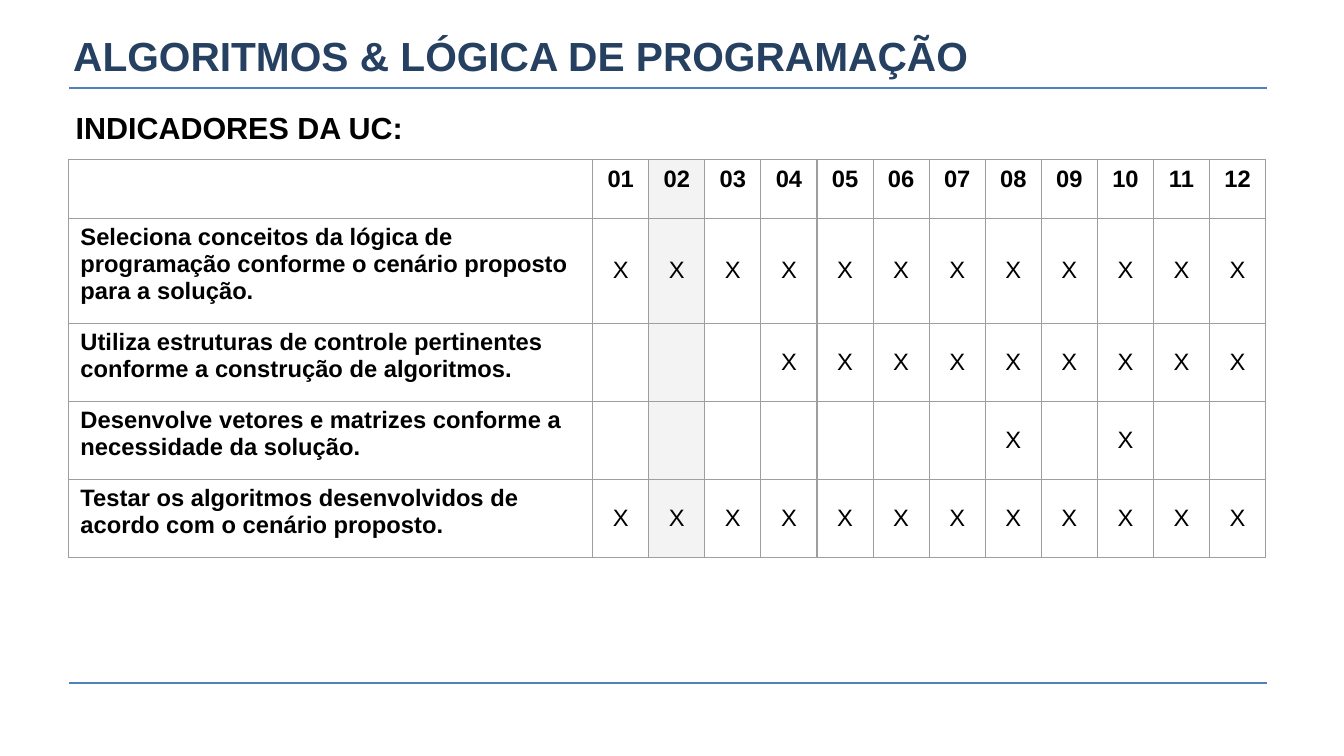
from dataclasses import dataclass

from pptx import Presentation
from pptx.dml.color import RGBColor
from pptx.enum.shapes import MSO_CONNECTOR
from pptx.enum.text import MSO_ANCHOR, MSO_AUTO_SIZE, PP_ALIGN
from pptx.oxml.ns import qn
from pptx.util import Inches, Pt
from lxml import etree

STRAIGHT = MSO_CONNECTOR.STRAIGHT
TOP, MIDDLE = MSO_ANCHOR.TOP, MSO_ANCHOR.MIDDLE
LEFT, CENTER = PP_ALIGN.LEFT, PP_ALIGN.CENTER
NO_AUTOFIT = MSO_AUTO_SIZE.NONE

FONT = "Arial"
COLORS = {
    "title": "254061",
    "text": "000000",
    "rule": "4F81BD",
    "border": "9E9E9E",
    "highlight": "F3F3F3",
}
LESSONS = range(1, 13)
HIGHLIGHTED_LESSON = 2
LABEL_WIDTH = 4.3
LESSON_WIDTH = 0.46
HEADER_HEIGHT = 0.48


@dataclass(frozen=True)
class TextStyle:
    size: float
    color: str = "text"
    bold: bool = True
    align: int = LEFT
    anchor: int = TOP


@dataclass(frozen=True)
class Indicator:
    label: str
    lessons: tuple[int, ...]
    height: float = 0.64


TITLE = TextStyle(24, color="title", anchor=MIDDLE)
SUBTITLE = TextStyle(18)
LABEL = TextStyle(14)
HEADER = TextStyle(14, align=CENTER)
MARK = TextStyle(14, bold=False, align=CENTER, anchor=MIDDLE)

INDICATORS = [
    Indicator(
        "Seleciona conceitos da lógica de programação conforme o cenário proposto para a solução.",
        tuple(LESSONS),
        0.86,
    ),
    Indicator(
        "Utiliza estruturas de controle pertinentes conforme a construção de algoritmos.",
        tuple(range(4, 13)),
    ),
    Indicator("Desenvolve vetores e matrizes conforme a necessidade da solução.", (8, 10)),
    Indicator("Testar os algoritmos desenvolvidos de acordo com o cenário proposto.", tuple(LESSONS)),
]


def rgb(name: str) -> RGBColor:
    return RGBColor.from_string(COLORS[name])


def write(frame, text: str, style: TextStyle) -> None:
    frame.text = text
    para = frame.paragraphs[0]
    para.alignment = style.align
    for span in para.runs:
        span.font.name = FONT
        span.font.size = Pt(style.size)
        span.font.bold = style.bold
        span.font.color.rgb = rgb(style.color)


def fill_placeholder(box, text: str, style: TextStyle, bounds: tuple, inset: float) -> None:
    box.left, box.top, box.width, box.height = map(Inches, bounds)
    frame = box.text_frame
    frame.auto_size = NO_AUTOFIT
    frame.word_wrap = True
    frame.vertical_anchor = style.anchor
    frame.margin_left = frame.margin_right = Inches(inset)
    frame.margin_top = frame.margin_bottom = Inches(inset)
    write(frame, text, style)


def format_subtitle(para) -> None:
    para.line_spacing = 1.15
    para.space_before = Pt(0)
    para.space_after = Pt(10)
    properties = para._p.get_or_add_pPr()
    properties.set("marL", "0")
    properties.set("indent", "0")
    etree.SubElement(properties, qn("a:buNone"))


def add_rule(page, top: float) -> None:
    rule = page.shapes.add_connector(STRAIGHT, Inches(0.57), Inches(top), Inches(10.39), Inches(top))
    rule.line.color.rgb = rgb("rule")
    rule.line.width = Pt(1)
    etree.SubElement(rule._element.spPr, qn("a:effectLst"))


def add_borders(cell) -> None:
    properties = cell._tc.get_or_add_tcPr()
    for side in ("lnL", "lnR", "lnT", "lnB"):
        border = etree.SubElement(properties, qn(f"a:{side}"), w=str(Pt(0.75)))
        fill = etree.SubElement(border, qn("a:solidFill"))
        etree.SubElement(fill, qn("a:srgbClr"), val=COLORS["border"])


def fill_cell(cell, text: str, style: TextStyle, highlighted: bool) -> None:
    add_borders(cell)
    if highlighted:
        cell.fill.solid()
        cell.fill.fore_color.rgb = rgb("highlight")
    else:
        cell.fill.background()
    cell.margin_left = cell.margin_right = Inches(0.1)
    cell.margin_top = cell.margin_bottom = Inches(0.05)
    cell.vertical_anchor = style.anchor
    write(cell.text_frame, text, style)


def add_indicator_table(page) -> None:
    heights = [HEADER_HEIGHT] + [indicator.height for indicator in INDICATORS]
    widths = [LABEL_WIDTH] + [LESSON_WIDTH] * len(LESSONS)
    table = page.shapes.add_table(
        len(heights), len(widths), Inches(0.56), Inches(1.31), Inches(sum(widths)), Inches(sum(heights))
    ).table
    table.first_row = table.horz_banding = False
    for row, height in zip(table.rows, heights):
        row.height = Inches(height)
    for column, width in zip(table.columns, widths):
        column.width = Inches(width)

    fill_cell(table.cell(0, 0), "", LABEL, False)
    for lesson in LESSONS:
        fill_cell(table.cell(0, lesson), f"{lesson:02d}", HEADER, lesson == HIGHLIGHTED_LESSON)
    for row_number, indicator in enumerate(INDICATORS, start=1):
        fill_cell(table.cell(row_number, 0), indicator.label, LABEL, False)
        for lesson in LESSONS:
            mark = "X" if lesson in indicator.lessons else ""
            fill_cell(table.cell(row_number, lesson), mark, MARK, lesson == HIGHLIGHTED_LESSON)


def main() -> None:
    deck = Presentation()
    deck.slide_width, deck.slide_height = Inches(11.02), Inches(6.2)
    page = deck.slides.add_slide(deck.slide_layouts[1])
    for top in (0.72, 5.6):
        add_rule(page, top)
    fill_placeholder(
        page.shapes.title, "ALGORITMOS & LÓGICA DE PROGRAMAÇÃO", TITLE, (0.6, 0.22, 9.82, 0.47), 0
    )
    body = page.placeholders[1]
    fill_placeholder(body, "INDICADORES DA UC:", SUBTITLE, (0.52, 0.75, 9.91, 4.82), 0.1)
    format_subtitle(body.text_frame.paragraphs[0])
    add_indicator_table(page)
    deck.save("out.pptx")


if __name__ == "__main__":
    main()
